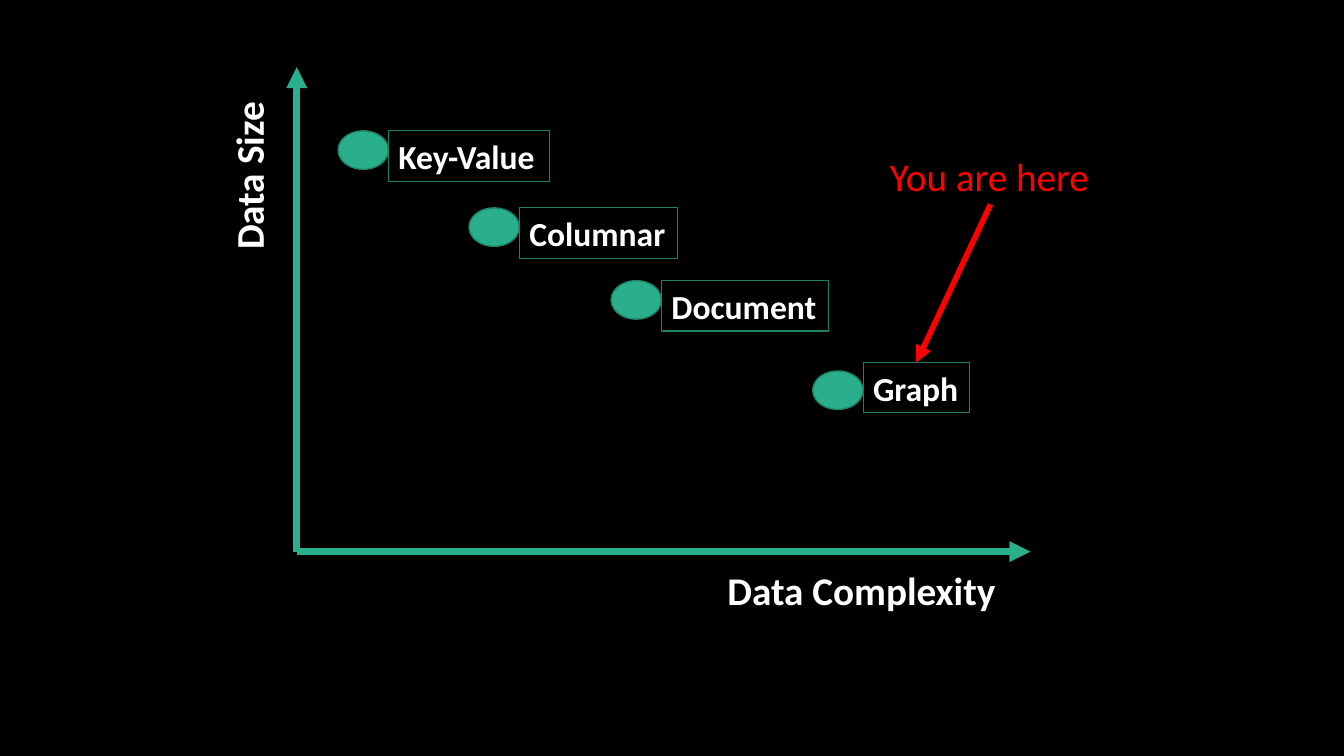
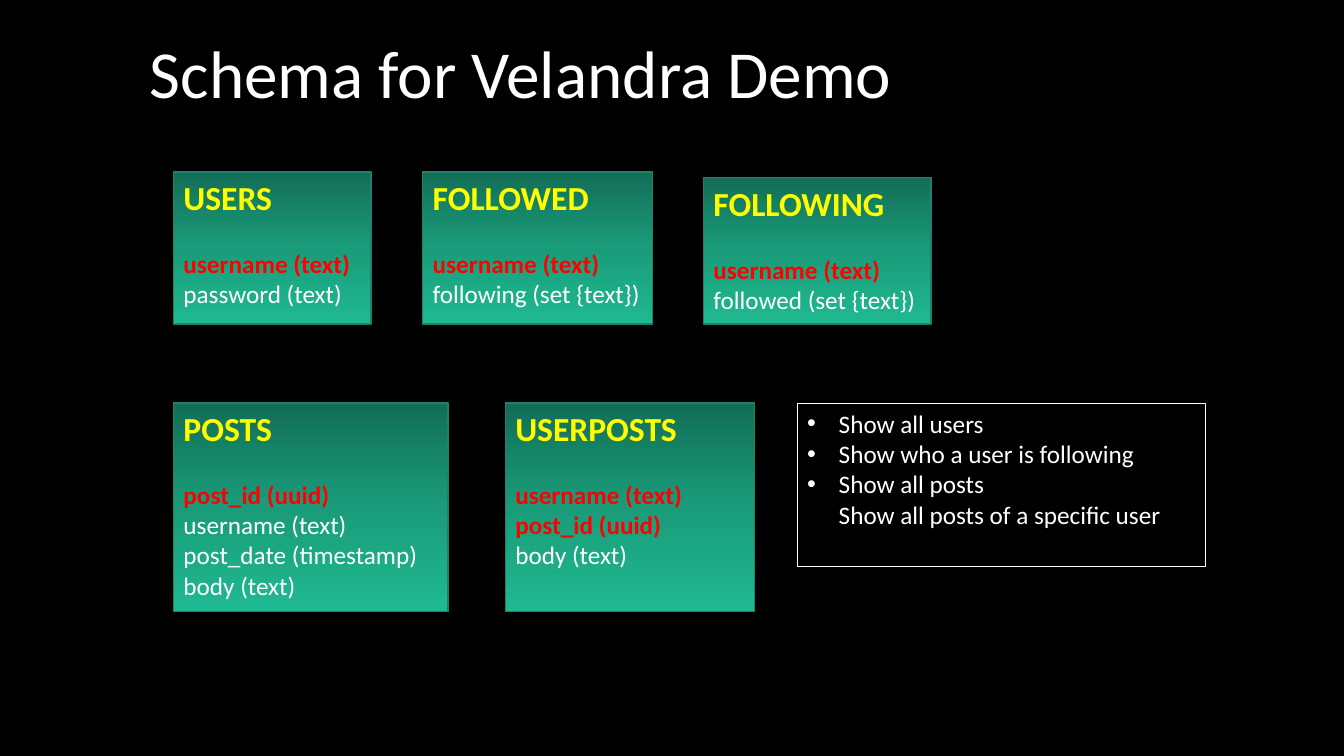
from copy import deepcopy

from lxml import etree
from pptx import Presentation
from pptx.dml.color import RGBColor
from pptx.enum.shapes import MSO_CONNECTOR, MSO_SHAPE
from pptx.enum.text import MSO_ANCHOR, PP_ALIGN
from pptx.oxml.ns import qn
from pptx.util import Pt

RECTANGLE, OVAL = MSO_SHAPE.RECTANGLE, MSO_SHAPE.OVAL
STRAIGHT = MSO_CONNECTOR.STRAIGHT
TOP, LEFT = MSO_ANCHOR.TOP, PP_ALIGN.LEFT

FONT = "Calibri"
COLORS = {
    "background": "000000",
    "text": "FFFFFF",
    "accent": "29AF8C",
    "outline": "1E8168",
    "alert": "FF0000",
    "heading": "FFFF00",
    "shade_top": "126E56",
    "shade_middle": "1A9C7A",
    "shade_bottom": "1FB991",
}
DOT_SIZE = (36, 27.5)
LABEL_HEIGHT = 36
FIELD_SIZE = 18
FIELD_LINE = 22


def color(name):
    return RGBColor.from_string(COLORS[name])


def style_para(para, size, color_name="text", bold=False):
    para.alignment = LEFT
    for span in para.runs:
        span.font.name = FONT
        span.font.size = Pt(size)
        span.font.bold = bold
        span.font.color.rgb = color(color_name)


def add_text(page, text, box, size, color_name="text", bold=False, wrap=False):
    text_box = page.shapes.add_textbox(*map(Pt, box))
    frame = text_box.text_frame
    frame.word_wrap = wrap
    frame.text = text
    style_para(frame.paragraphs[0], size, color_name, bold)
    return text_box


def add_box(page, kind, box, line, line_width, fill=None):
    shape = page.shapes.add_shape(kind, *map(Pt, box))
    shape.shadow.inherit = False
    shape.line.color.rgb = color(line)
    shape.line.width = Pt(line_width)
    if fill:
        shape.fill.solid()
        shape.fill.fore_color.rgb = color(fill)
    else:
        shape.fill.background()
    shape.text_frame.vertical_anchor = TOP
    return shape


def add_arrow(page, start, end, color_name, width):
    arrow = page.shapes.add_connector(STRAIGHT, *map(Pt, start + end))
    arrow.line.color.rgb = color(color_name)
    arrow.line.width = Pt(width)
    etree.SubElement(arrow.line._get_or_add_ln(), qn("a:tailEnd"), type="triangle")
    etree.SubElement(arrow._element.spPr, qn("a:effectLst"))


def shade(shape):
    """Fill the shape with the three-step vertical gradient."""
    shape.fill.gradient()
    shape.fill.gradient_angle = 270
    first_stop = next(shape._element.spPr.iter(qn("a:gs")))
    first_stop.addnext(deepcopy(first_stop))
    names = ("shade_top", "shade_middle", "shade_bottom")
    for index, (stop, name) in enumerate(zip(shape.fill.gradient_stops, names)):
        stop.position = index / 2
        stop.color.rgb = color(name)


def add_axes(page, left, top, width, height):
    origin = (left, top + height)
    add_arrow(page, origin, (left, top), "accent", 5)
    add_arrow(page, origin, (left + width, top + height), "accent", 5)
    size_label = add_text(page, "Data Size", (left - 95.5, top + 56, 122, 41), 28, bold=True)
    size_label.rotation = 270
    add_text(page, "Data Complexity", (left + 300.5, top + height + 7, 207, 41), 28, bold=True)


def add_store(page, name, left, top, label_width, label_rise=0):
    """Place a dot with its boxed name to the right, raised by label_rise."""
    dot_width, dot_height = DOT_SIZE
    add_box(page, OVAL, (left, top, dot_width, dot_height), "outline", 1, "accent")
    label_box = (left + dot_width, top - label_rise, label_width, LABEL_HEIGHT)
    frame = add_box(page, RECTANGLE, label_box, "outline", 0.75).text_frame
    frame.word_wrap = False
    frame.text = name
    style_para(frame.paragraphs[0], 24, bold=True)


def add_callout(page, left, top):
    add_text(page, "You are here", (left, top, 158, 41), 28, "alert")
    add_arrow(page, (left + 79, top + 41), (left + 26, top + 154), "alert", 4)


def add_table_card(page, box, name, keys, fields):
    """Draw one database table: heading, key columns, other columns."""
    card = add_box(page, RECTANGLE, box, "outline", 1)
    shade(card)
    frame = card.text_frame
    frame.word_wrap = True
    frame.text = "\n".join([name, *keys, *fields])
    heading, *columns = frame.paragraphs
    style_para(heading, 24, "heading", True)
    heading.space_after = Pt(FIELD_LINE)
    for index, para in enumerate(columns):
        is_key = index < len(keys)
        style_para(para, FIELD_SIZE, "alert" if is_key else "text", is_key)


def add_query_list(page, box, queries):
    frame = add_box(page, RECTANGLE, box, "text", 0.75).text_frame
    frame.word_wrap = True
    for index, query in enumerate(queries):
        para = frame.add_paragraph() if index else frame.paragraphs[0]
        para.text = query
        style_para(para, FIELD_SIZE)
        properties = para._p.get_or_add_pPr()
        indent = Pt(22.5)
        properties.set("marL", str(indent))
        properties.set("indent", str(-indent))
        etree.SubElement(properties, qn("a:buFont"), typeface="Arial")
        etree.SubElement(properties, qn("a:buChar"), char="•")


def build_landscape(page):
    add_axes(page, 212, 48, 524, 346)
    stores = [
        ("Key-Value", 241.5, 93.5, 115),
        ("Columnar", 335, 148.5, 113),
        ("Document", 436.5, 200.5, 119),
        ("Graph", 580.5, 265, 76, 6),
    ]
    for store in stores:
        add_store(page, *store)
    add_callout(page, 628.5, 105)


def build_schema(page):
    add_text(page, "Schema for Velandra Demo", (100, 18.5, 620, 65), 48, wrap=True)
    left, upper, lower = 124, 123, 288
    cards = [
        ((left, upper, 141, 108.5), "USERS", ["username (text)"], ["password (text)"]),
        ((302, upper, 164, 108.5), "FOLLOWED", ["username (text)"], ["following (set {text})"]),
        ((502.5, upper + 4, 162.5, 104.5), "FOLLOWING", ["username (text)"],
         ["followed (set {text})"]),
        ((left, lower, 196, 149), "POSTS", ["post_id (uuid)"],
         ["username (text)", "post_date (timestamp)", "body (text)"]),
        ((361, lower, 178, 149), "USERPOSTS", ["username (text)", "post_id (uuid)"],
         ["body (text)"]),
    ]
    for card in cards:
        add_table_card(page, *card)
    add_query_list(page, (569.5, lower, 291.5, 116.5), [
        "Show all users",
        "Show who a user is following",
        "Show all posts\vShow all posts of a specific user",
    ])


def main():
    deck = Presentation()
    deck.slide_width, deck.slide_height = Pt(960), Pt(540)
    backdrop = deck.slide_master.background.fill
    backdrop.solid()
    backdrop.fore_color.rgb = color("background")
    for build in (build_landscape, build_schema):
        build(deck.slides.add_slide(deck.slide_layouts[6]))
    deck.save("out.pptx")


if __name__ == "__main__":
    main()
